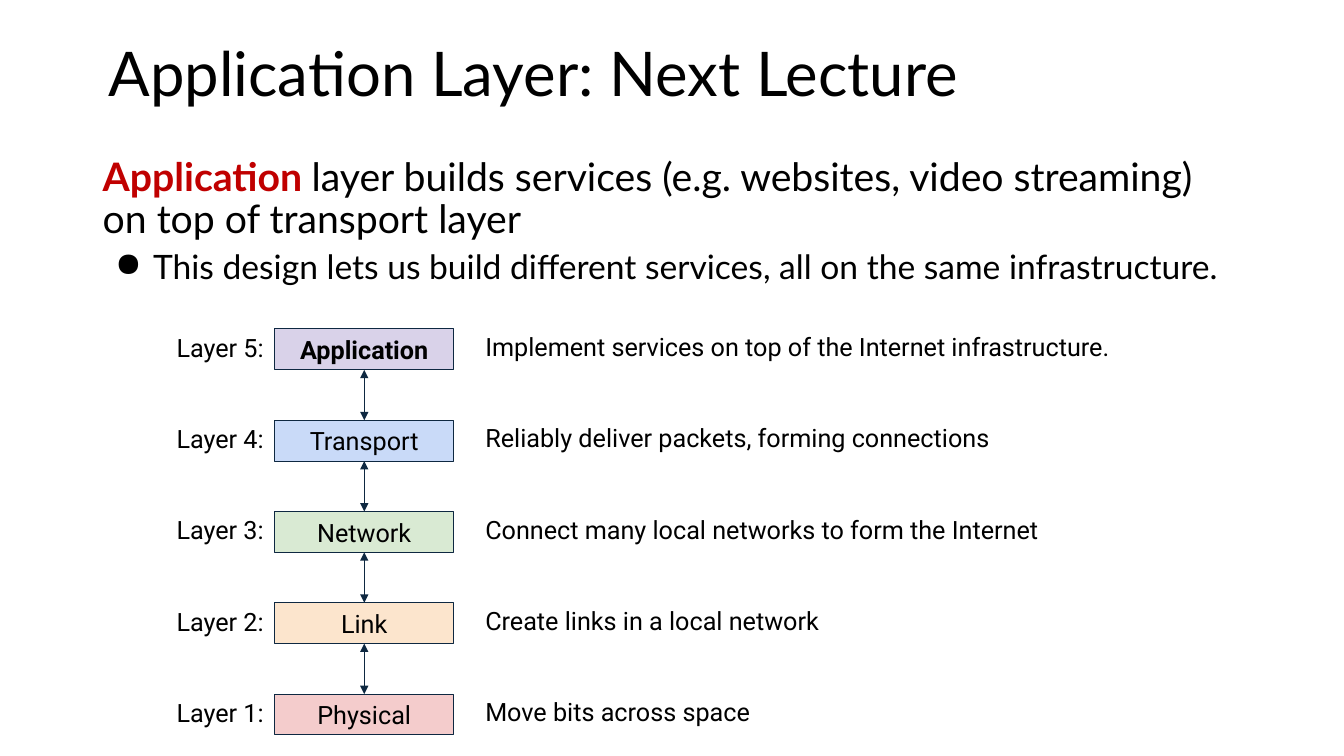
from lxml.etree import SubElement
from pptx import Presentation
from pptx.dml.color import RGBColor
from pptx.enum.shapes import MSO_CONNECTOR, MSO_SHAPE
from pptx.enum.text import MSO_ANCHOR, PP_ALIGN
from pptx.oxml.ns import qn
from pptx.util import Cm, Pt

BLACK = "000000"
NAVY = "0E2841"
RED = "C00000"

LAYERS = [
    ("Application", "D9D2E9", 17.35, "Implement services on top of the Internet infrastructure."),
    ("Transport", "C9DAF8", 15.34, "Reliably deliver packets, forming connections"),
    ("Network", "D9EAD3", 15.04, "Connect many local networks to form the Internet"),
    ("Link", "FCE5CD", 9.96, "Create links in a local network"),
    ("Physical", "F4CCCC", 8.3, "Move bits across space"),
]
FIRST_TOP = 8.29
PITCH = 2.3


def color(value):
    return RGBColor.from_string(value)


def write(paragraph, text, font="Roboto", size=18, fill=BLACK, bold=False,
          align=None, spacing=None, before=None, bullet=None):
    if bullet:
        properties = paragraph._p.get_or_add_pPr()
        properties.set("marL", str(Cm(1.27)))
        properties.set("indent", str(Cm(-0.96)))
        SubElement(properties, qn("a:buChar")).set("char", bullet)
    if align is not None:
        paragraph.alignment = align
    if spacing is not None:
        paragraph.line_spacing = spacing
    if before is not None:
        paragraph.space_before = Pt(before)
    run = paragraph.add_run()
    run.text = text
    run.font.name = font
    run.font.size = Pt(size)
    run.font.bold = bold
    run.font.color.rgb = color(fill)


class LayerSlide:
    def __init__(self, slide, heading_font="Lato", line_color=NAVY, line_width=0.75):
        self.slide = slide
        self.heading_font = heading_font
        self.line_color = line_color
        self.line_width = Pt(line_width)

    def frame(self, shape, inset, anchor):
        frame = shape.text_frame
        frame.word_wrap = True
        frame.vertical_anchor = anchor
        frame.margin_left = frame.margin_right = Cm(inset[0])
        frame.margin_top = frame.margin_bottom = Cm(inset[1])
        return frame

    def text_area(self, left, top, width, height, inset=(0.25, 0.13), anchor=MSO_ANCHOR.TOP):
        area = self.slide.shapes.add_textbox(Cm(left), Cm(top), Cm(width), Cm(height))
        return self.frame(area, inset, anchor)

    def outline(self, line):
        line.color.rgb = color(self.line_color)
        line.width = self.line_width

    def title(self, text):
        area = self.text_area(2.49, 0.1, 29.2, 3.68, anchor=MSO_ANCHOR.MIDDLE)
        write(area.paragraphs[0], text, font=self.heading_font, size=44, spacing=0.9)

    def summary(self, keyword, statement, detail):
        area = self.text_area(2.34, 3.84, 29.2, 3.68)
        lead = area.paragraphs[0]
        write(lead, keyword, font=self.heading_font, size=28, fill=RED, bold=True, spacing=0.9)
        write(lead, statement, font=self.heading_font, size=28)
        write(area.add_paragraph(), detail, font=self.heading_font, size=24,
              spacing=0.9, before=6, bullet="●")

    def label(self, text, left, top, width):
        area = self.text_area(left, top, width, 1.03, inset=(0.08, 0.08))
        write(area.paragraphs[0], text)

    def layer_box(self, name, fill, top, bold):
        box = self.slide.shapes.add_shape(
            MSO_SHAPE.RECTANGLE, Cm(6.93), Cm(top), Cm(4.5), Cm(1.03))
        box.shadow.inherit = False
        box.fill.solid()
        box.fill.fore_color.rgb = color(fill)
        self.outline(box.line)
        area = self.frame(box, (0.25, 0.25), MSO_ANCHOR.MIDDLE)
        write(area.paragraphs[0], name, bold=bold, align=PP_ALIGN.CENTER)
        return box

    def double_arrow(self, upper, lower):
        arrow = self.slide.shapes.add_connector(MSO_CONNECTOR.STRAIGHT, 0, 0, 0, 0)
        arrow.begin_connect(upper, 2)
        arrow.end_connect(lower, 0)
        self.outline(arrow.line)
        line = arrow.line._get_or_add_ln()
        for end in ("a:headEnd", "a:tailEnd"):
            SubElement(line, qn(end)).set("type", "triangle")
        SubElement(arrow._element.spPr, qn("a:effectLst"))


def main():
    presentation = Presentation()
    presentation.slide_width = Cm(33.87)
    presentation.slide_height = Cm(19.05)
    page = LayerSlide(presentation.slides.add_slide(presentation.slide_layouts[6]))

    page.title("Application Layer: Next Lecture")
    page.summary(
        "Application ",
        "layer builds services (e.g. websites, video streaming) on top of transport layer",
        "This design lets us build different services, all on the same infrastructure.")

    upper = None
    for index, (name, fill, width, purpose) in enumerate(LAYERS):
        top = FIRST_TOP + index * PITCH
        layer = page.layer_box(name, fill, top, bold=index == 0)
        page.label(f"Layer {len(LAYERS) - index}:", 4.37, top, 2.54)
        page.label(purpose, 12.15, top - 0.02, width)
        if upper is not None:
            page.double_arrow(upper, layer)
        upper = layer

    presentation.save("out.pptx")


if __name__ == "__main__":
    main()
